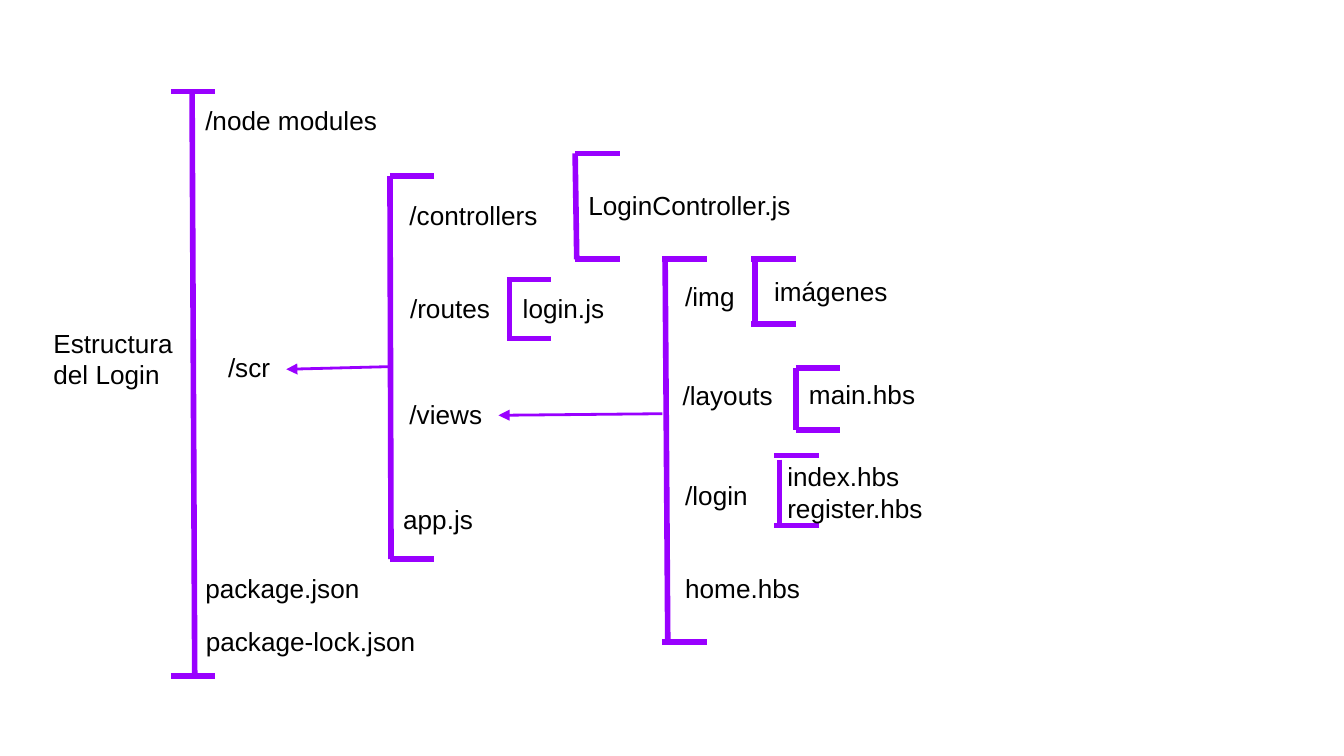
import lxml.etree
import pptx
import pptx.dml.color
import pptx.enum.shapes
import pptx.enum.text
import pptx.oxml.ns
import pptx.util
from pptx.util import Cm

PURPLE = "9900FF"
TICK_LENGTH = 0.84

deck = pptx.Presentation()
deck.slide_width, deck.slide_height = Cm(25.4), Cm(14.29)
page = deck.slides.add_slide(deck.slide_layouts[6])


def add_line(x1, y1, x2, y2, width=3, arrow=False):
    """Draw a purple line, with an arrowhead at its end if arrow is set."""
    line = page.shapes.add_connector(
        pptx.enum.shapes.MSO_CONNECTOR.STRAIGHT, Cm(x1), Cm(y1), Cm(x2), Cm(y2))
    line.line.color.rgb = pptx.dml.color.RGBColor.from_string(PURPLE)
    line.line.width = pptx.util.Pt(width)
    properties = line.element.find(pptx.oxml.ns.qn("p:spPr"))
    if arrow:
        outline = properties.find(pptx.oxml.ns.qn("a:ln"))
        lxml.etree.SubElement(outline, pptx.oxml.ns.qn("a:tailEnd"), type="triangle")
    lxml.etree.SubElement(properties, pptx.oxml.ns.qn("a:effectLst"))


def add_text(text, left, top, width, height=1.12, size=14, font="Arial", color="000000"):
    box = page.shapes.add_textbox(Cm(left), Cm(top), Cm(width), Cm(height))
    frame = box.text_frame
    frame.word_wrap = True
    frame.auto_size = pptx.enum.text.MSO_AUTO_SIZE.SHAPE_TO_FIT_TEXT
    frame.margin_left = frame.margin_right = Cm(0.25)
    frame.margin_top = frame.margin_bottom = Cm(0.25)
    frame.text = text
    for para in frame.paragraphs:
        for span in para.runs:
            span.font.size = pptx.util.Pt(size)
            span.font.name = font
            span.font.color.rgb = pptx.dml.color.RGBColor.from_string(color)


# Brackets: spine x at top and bottom, left end of the ticks,
# y of top and bottom tick, gap between top tick and spine
brackets = [
    (3.63, 3.68, 3.23, 1.73, 12.78, 0),       # project root
    (7.37, 7.39, 7.37, 3.33, 10.57, 0),       # /scr
    (10.87, 10.9, 10.87, 2.9, 4.9, 0),        # /controllers
    (9.63, 9.63, 9.58, 5.28, 6.4, 0),         # /routes
    (12.57, 12.62, 12.52, 4.9, 12.14, 0),     # /views
    (14.27, 14.27, 14.2, 4.9, 6.12, 0),       # /img
    (15.04, 15.04, 15.04, 6.96, 8.13, 0),     # /layouts
    (14.73, 14.73, 14.63, 8.61, 9.93, 0.08),  # /login
]
for top_x, bottom_x, tick_x, top, bottom, gap in brackets:
    add_line(top_x, top + gap, bottom_x, bottom)
    for y in (top, bottom):
        add_line(tick_x, y, tick_x + TICK_LENGTH, y)

add_line(7.37, 6.93, 5.41, 6.98, width=1.5, arrow=True)
add_line(12.52, 7.82, 9.42, 7.85, width=1.5, arrow=True)

labels = [
    ("/node modules", 3.63, 1.73, 4.24),
    ("/scr", 4.06, 6.4, 2.21),
    ("package.json", 3.63, 10.57, 3.89),
    ("package-lock.json", 3.64, 11.58, 4.7),
    ("/controllers", 7.49, 3.51, 3.28),
    ("/routes", 7.5, 5.28, 4.24),
    ("/views", 7.49, 7.29, 1.96),
    ("app.js", 7.37, 9.27, 2.21),
    ("LoginController.js", 10.87, 3.33, 4.7),
    ("login.js", 9.63, 5.28, 2.95),
    ("/img", 12.7, 5.05, 1.57),
    ("/layouts", 12.65, 6.93, 2.95),
    ("/login", 12.7, 8.81, 2.95),
    ("home.hbs", 12.7, 10.57, 2.95),
    ("imágenes", 14.38, 4.95, 2.95),
    ("main.hbs", 15.04, 6.91, 2.95),
]
for text, left, top, width in labels:
    add_text(text, left, top, width)
add_text("Estructura del Login", 0.76, 5.94, 3.28, height=1.7)
add_text("index.hbs\nregister.hbs", 14.63, 8.46, 5, height=1.7)

deck.save("out.pptx")
